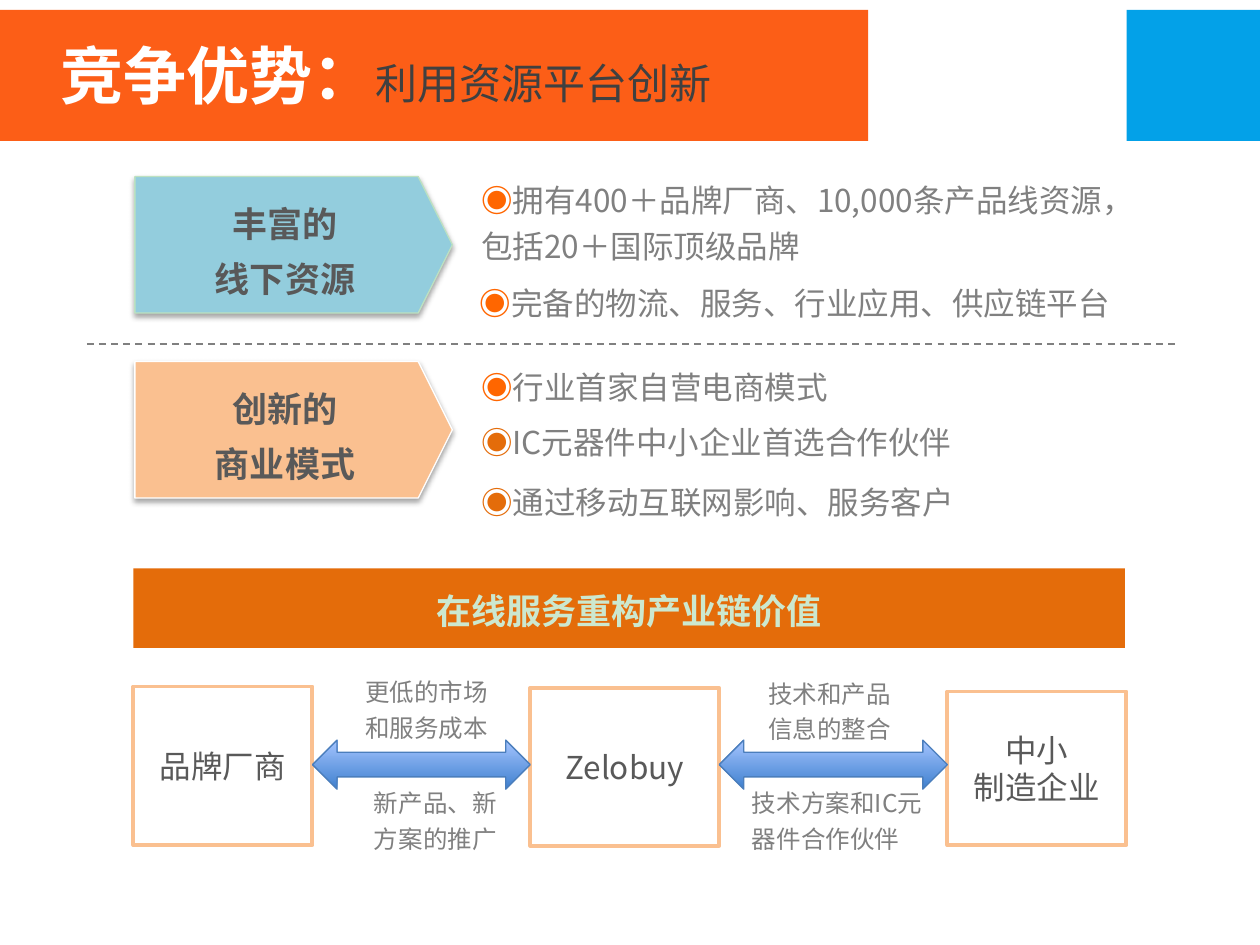
from lxml.etree import SubElement
from pptx import Presentation
from pptx.dml.color import RGBColor
from pptx.enum.dml import MSO_LINE as Dash
from pptx.enum.shapes import MSO_CONNECTOR as Link, MSO_SHAPE as Kind
from pptx.enum.text import MSO_ANCHOR as Anchor, MSO_AUTO_SIZE as Fit, PP_ALIGN as Align
from pptx.oxml.ns import qn
from pptx.util import Cm, Pt

FACE = "Noto Sans CJK SC"
GREY, DARK, MINT, PEACH, RUST = "808080", "595959", "CCE8CF", "FAC090", "E46C0A"

TITLE = [("竞争优势：", 36, "FFFFFF", True), ("利用资源平台创新", 24, "404040", False)]
HEAD = [((22.71, 0.2, 2.69, 2.64), "03A1E8"), ((0, 0.2, 17.5, 2.64), "FC5E17")]
TAGS = [
    ("丰富的\n线下资源", 3.56, "93CDDD", "BDE1C1"),
    ("创新的\n商业模式", 7.29, PEACH, "FFFFFF"),
]
POINTS = [
    ("拥有400＋品牌厂商、10,000条产品线资源，包括20＋国际顶级品牌", (9.45, 3.38, 14.02, 2.11), "FF6600", True),
    ("完备的物流、服务、行业应用、供应链平台", (9.42, 5.44, 15.47, 1.17), "FF6600", True),
    ("行业首家自营电商模式", (9.45, 7.14, 13.46, 1.09), "FF6600", True),
    ("IC元器件中小企业首选合作伙伴", (9.45, 8.26, 12.24, 1.17), RUST, False),
    ("通过移动互联网影响、服务客户", (9.45, 9.47, 12.24, 1.17), RUST, False),
]
BAND = "在线服务重构产业链价值"
CHAIN = [
    ("品牌厂商", (2.69, 13.84, 3.61, 3.2)),
    ("Zelobuy", (10.69, 13.87, 3.81, 3.18)),
    ("中小\n制造企业", (19.1, 13.94, 3.61, 3.1)),
]
NOTES = [
    ("更低的市场和服务成本", (7.11, 13.41, 3.4, 1.68)),
    ("新产品、新方案的推广", (7.29, 15.65, 3.4, 1.68)),
    ("技术和产品信息的整合", (15.24, 13.44, 3.4, 1.68)),
    ("技术方案和IC元器件合作伙伴", (14.91, 15.65, 3.99, 1.68)),
]


def rgb(code):
    return RGBColor.from_string(code)


def style(run, size, color, bold=False):
    font = run.font
    font.size, font.bold, font.name = Pt(size), bold, FACE
    font.color.rgb = rgb(color)
    SubElement(run._r.get_or_add_rPr(), qn("a:ea"), typeface=FACE)


def write(frame, text, size, color, bold=False, space=None, align=Align.CENTER):
    frame.text = text
    for para in frame.paragraphs:
        para.alignment = align
        para.line_spacing = space
        for run in para.runs:
            style(run, size, color, bold)


def draw(kind, area, fill=None, edge=None, width=0.75):
    shape = slide.shapes.add_shape(kind, *map(Cm, area))
    shape.shadow.inherit = False
    if fill:
        shape.fill.solid()
        shape.fill.fore_color.rgb = rgb(fill)
    else:
        shape.fill.background()
    if edge:
        shape.line.color.rgb = rgb(edge)
        shape.line.width = Pt(width)
    else:
        shape.line.fill.background()
    shape.text_frame.vertical_anchor = Anchor.MIDDLE
    return shape


def label(area):
    frame = slide.shapes.add_textbox(*map(Cm, area)).text_frame
    frame.word_wrap = True
    return frame


def shade(shape):
    glow = shape.element.spPr.find(qn("a:effectLst"))
    drop = SubElement(glow, qn("a:outerShdw"), blurRad=str(Pt(3.1)),
                      dist=str(Pt(1.8)), dir="5400000", rotWithShape="0")
    tone = SubElement(drop, qn("a:srgbClr"), val="000000")
    SubElement(tone, qn("a:alpha"), val="35000")


deck = Presentation()
deck.slide_width, deck.slide_height = Cm(25.4), Cm(19.05)
slide = deck.slides.add_slide(deck.slide_layouts[5])

for area, fill in HEAD:
    draw(Kind.RECTANGLE, area, fill)

title = slide.shapes.title
title.left, title.top, title.width, title.height = map(Cm, (0.97, 0.61, 16.2, 1.8))
frame = title.text_frame
frame.auto_size, frame.vertical_anchor = Fit.NONE, Anchor.TOP
para = frame.paragraphs[0]
para.alignment = Align.LEFT
for text, *look in TITLE:
    run = para.add_run()
    run.text = text
    style(run, *look)
title.element.getparent().append(title.element)

for text, top, fill, edge in TAGS:
    tag = draw(Kind.PENTAGON, (2.72, top, 6.4, 2.75), fill, edge)
    tag.adjustments[0] = 0.25
    shade(tag)
    write(tag.text_frame, text, 20, DARK, True, 1.3)

for text, area, color, bold in POINTS:
    para = label(area).paragraphs[0]
    para.line_spacing = 1.2
    for part, tone, heavy in (("◉", color, bold), (text, GREY, False)):
        run = para.add_run()
        run.text = part
        style(run, 18, tone, heavy)

rule = slide.shapes.add_connector(Link.STRAIGHT, Cm(1.75), Cm(6.93), Cm(23.72), Cm(6.93))
rule.line.color.rgb = rgb(GREY)
rule.line.width = Pt(1)
rule.line.dash_style = Dash.DASH
SubElement(rule.element.spPr, qn("a:effectLst"))

band = draw(Kind.RECTANGLE, (2.69, 11.46, 19.99, 1.6), RUST)
write(band.text_frame, BAND, 20, MINT, True, 1.1)

for text, area in CHAIN:
    box = draw(Kind.RECTANGLE, area, None, PEACH, 2.25)
    write(box.text_frame, text, 18, DARK)

for (_, near), (_, far) in zip(CHAIN, CHAIN[1:]):
    start = near[0] + near[2]
    arrow = draw(Kind.LEFT_RIGHT_ARROW, (start, 14.92, far[0] - start, 0.99), None, "4B7EBC")
    arrow.fill.gradient()
    arrow.fill.gradient_angle = 90
    for stop, color, place in zip(arrow.fill.gradient_stops, ("3F80CE", "A4C4FF"), (0, 1)):
        stop.color.rgb = rgb(color)
        stop.position = place

for text, area in NOTES:
    write(label(area), text, 14, GREY, False, 1.2, Align.LEFT)

deck.save("out.pptx")
